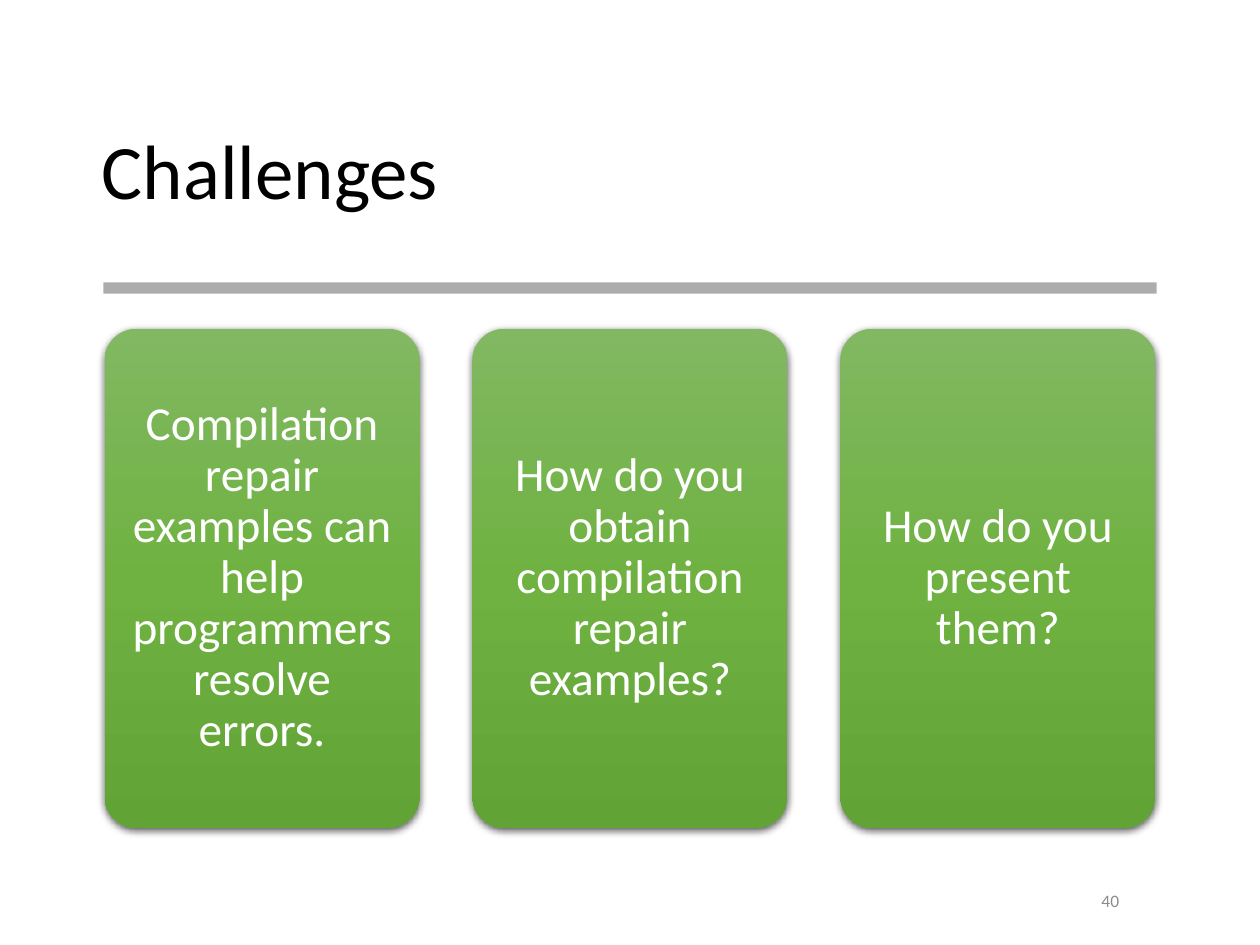
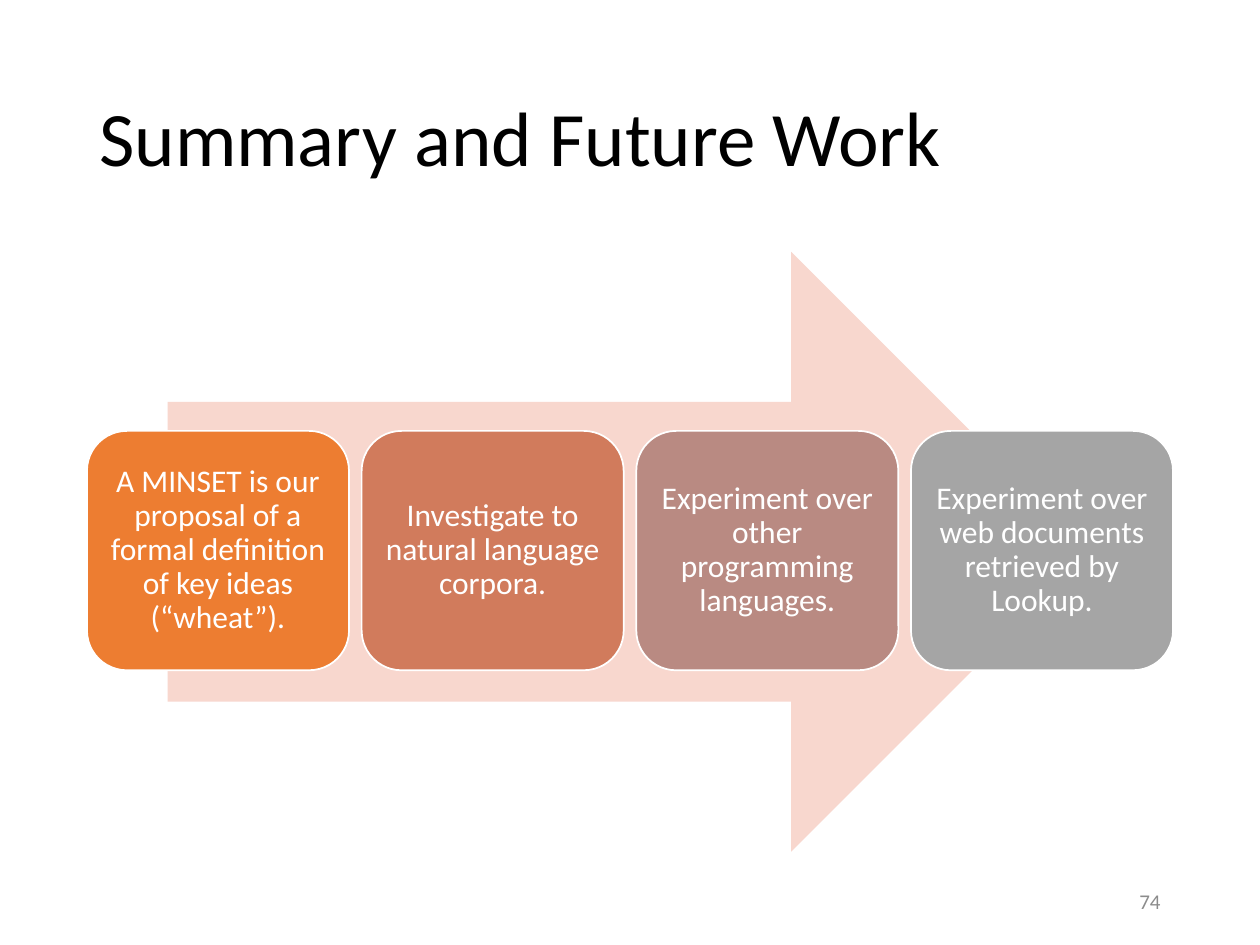
"""Build the Challenges and Summary and Future Work slides."""
from copy import deepcopy

from lxml import etree
from pptx import Presentation
from pptx import util as u
from pptx.dml.color import RGBColor
from pptx.enum import shapes, text
from pptx.oxml.ns import qn

rgb = RGBColor.from_string
MSO = shapes.MSO_SHAPE
PP = text.PP_ALIGN
FONT, BLACK, WHITE, GREY = "Calibri", "000000", "FFFFFF", "8C8C8C"
NUMBER_BOX = (7.06, 6.95, 2.25, 0.4)


def add_shape(slide, kind, box, fill=None):
    s = slide.shapes.add_shape(kind, *map(u.Inches, box))
    s.shadow.inherit = False
    s.line.fill.background()
    if fill:
        s.fill.solid()
        s.fill.fore_color.rgb = rgb(fill)
    else:
        s.fill.background()
    return s


def write(s, words, size, color, align, spacing=1.0, inset=None):
    tf = s.text_frame
    tf.word_wrap = True
    tf.vertical_anchor = text.MSO_ANCHOR.MIDDLE
    if inset:
        tf.margin_left = tf.margin_right = u.Inches(inset)
        tf.margin_top = tf.margin_bottom = u.Inches(inset)
    p = tf.paragraphs[0]
    p.text = words
    p.alignment = align
    p.line_spacing = spacing
    p.font.name = FONT
    p.font.size = u.Pt(size)
    p.font.color.rgb = rgb(color)


prs = Presentation()
prs.slide_width, prs.slide_height = u.Inches(10), u.Inches(7.5)

slides = []
for title, title_box, number, number_kind, number_size in [
    ("Challenges", (0.71, 0.66, 8.57, 1.45), "40", MSO.OVAL, 10),
    ("Summary and Future Work", (0.69, 0.4, 8.62, 1.45), "74", MSO.RECTANGLE, 12),
]:
    slide = prs.slides.add_slide(prs.slide_layouts[6])
    tb = slide.shapes.add_textbox(*map(u.Inches, title_box))
    write(tb, title, 44, BLACK, PP.LEFT, 0.9)
    s = add_shape(slide, number_kind, NUMBER_BOX)
    write(s, number, number_size, GREY, PP.RIGHT)
    slides.append(slide)
challenges, summary = slides

rule = add_shape(challenges, MSO.RECTANGLE, (0.82, 2.24, 8.36, 0.09), "808080")
color = rule._element.spPr.find(qn("a:solidFill"))[0]
etree.SubElement(color, qn("a:alpha"), val="65000")

for i, words in enumerate([
    "Compilation repair examples can help programmers resolve errors.",
    "How do you obtain compilation repair examples?",
    "How do you present them?",
]):
    card = add_shape(challenges, MSO.ROUNDED_RECTANGLE, (0.83 + 2.92 * i, 2.61, 2.5, 3.96))
    card.adjustments[0] = 0.1
    card.fill.gradient()
    card.fill.gradient_angle = 270
    sp = card._element.spPr
    stops = sp.find(qn("a:gradFill")).find(qn("a:gsLst"))
    stops.insert(1, deepcopy(stops[0]))
    for stop, position, shade in zip(
        card.fill.gradient_stops, (0, 0.5, 1), ("81B861", "6FB242", "62A336")
    ):
        stop.position = position
        stop.color.rgb = rgb(shade)
    shadow = etree.SubElement(
        sp.find(qn("a:effectLst")), qn("a:outerShdw"),
        blurRad=str(u.Pt(4.5)), dist=str(u.Pt(1.5)), dir="5400000", rotWithShape="0",
    )
    color = etree.SubElement(shadow, qn("a:srgbClr"), val=BLACK)
    etree.SubElement(color, qn("a:alpha"), val="63000")
    write(card, words, 27, WHITE, PP.CENTER, 0.9, 0.11)

add_shape(summary, MSO.RIGHT_ARROW, (1.33, 2, 7.33, 4.76), "F8D7CE")
for i, (words, fill) in enumerate([
    ("A MINSET is our proposal of a formal definition of key ideas (“wheat”).", "ED7D31"),
    ("Investigate to natural language corpora.", "D17B5C"),
    ("Experiment over other programming languages.", "B98A82"),
    ("Experiment over web documents retrieved by Lookup.", "A5A5A5"),
]):
    step = add_shape(summary, MSO.ROUNDED_RECTANGLE, (0.69 + 2.18 * i, 3.42, 2.08, 1.9), fill)
    step.line.color.rgb = rgb(WHITE)
    step.line.width = u.Pt(1)
    write(step, words, 18, WHITE, PP.CENTER, 0.9, 0.07)

prs.save("out.pptx")
